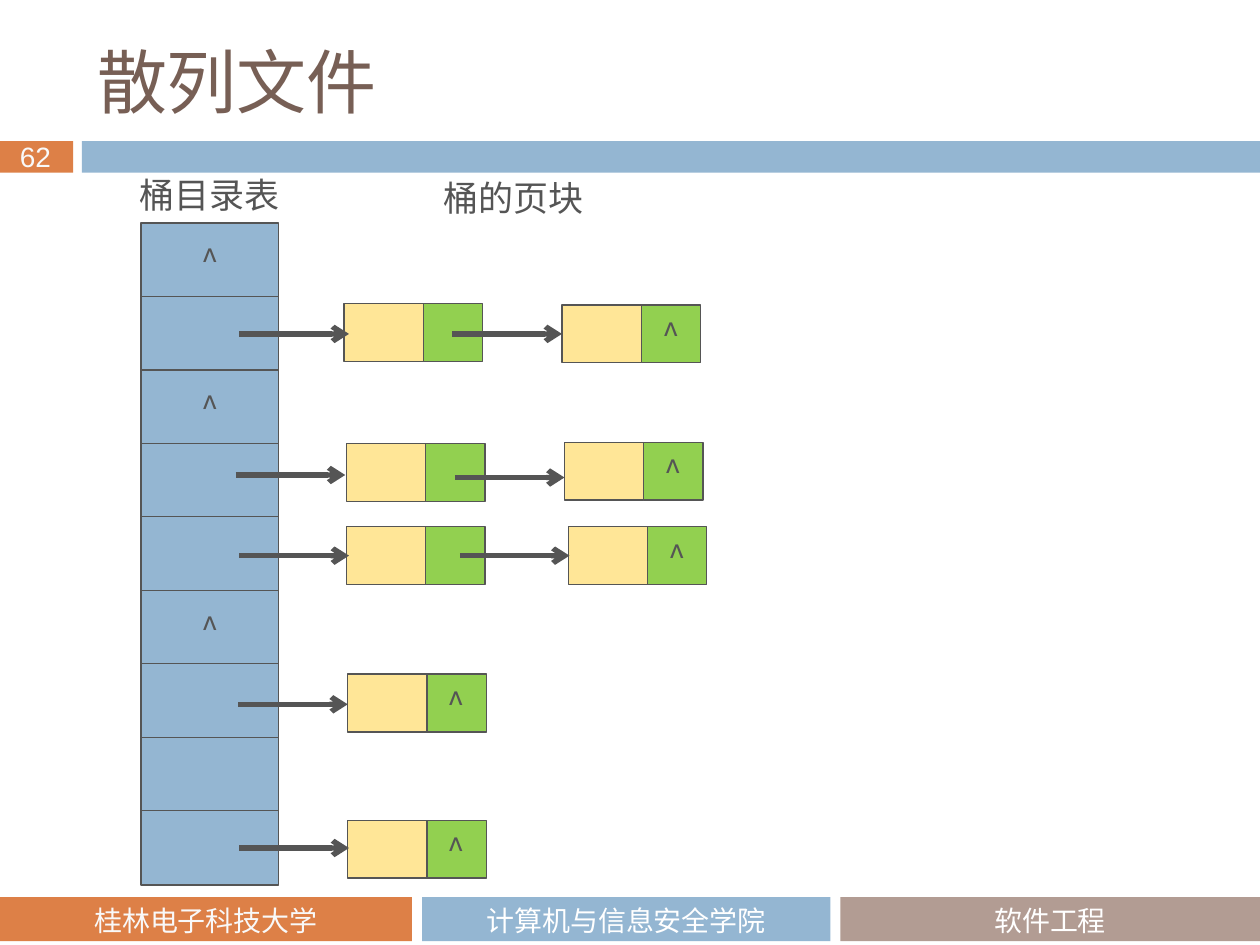
"""Build the hash file slide: a bucket directory with its chained page blocks."""
import dataclasses

import lxml.etree
import pptx
import pptx.dml.color
import pptx.enum.shapes
import pptx.enum.text
import pptx.oxml.ns
import pptx.util

Inches = pptx.util.Inches
ALIGN = pptx.enum.text.PP_ALIGN
MIDDLE = pptx.enum.text.MSO_ANCHOR.MIDDLE


@dataclasses.dataclass(frozen=True)
class Theme:
    """Colours, fonts and type sizes of the slide."""
    orange: str = "DD8047"
    blue: str = "94B6D2"
    taupe: str = "B29C93"
    brown: str = "775F55"
    ink: str = "555555"
    white: str = "FFFFFF"
    pale: str = "F9F9F9"
    yellow: str = "FFE697"
    green: str = "92D050"
    cjk: str = "Noto Sans CJK SC"
    title_font: str = "Noto Sans CJK JP"
    footer_font: str = "Calibri"
    number_font: str = "Arial"
    title: int = 40
    label: int = 20
    mark: int = 18
    footer: int = 16


THEME = Theme()
NULL = "^"
CELL_LEFT, CELL_TOP, CELL_W, CELL_H, CELL_PITCH = 1.12, 1.77, 1.09, 0.59, 0.583
DATA_W, LINK_W, BLOCK_H, ARROW_W = 0.63, 0.47, 0.46, 0.87
DIRECTORY = [NULL, "", NULL, "", "", NULL, "", "", ""]
CHAINS = [
    [(2.73, 2.41), (4.46, 2.42)],
    [(2.75, 3.52), (4.48, 3.51)],
    [(2.75, 4.18), (4.51, 4.18)],
    [(2.76, 5.35)],
    [(2.76, 6.51)],
]
ARROWS = [(1.9, 2.65), (3.59, 2.65), (1.87, 3.77), (3.61, 3.79),
          (1.9, 4.41), (3.65, 4.41), (1.89, 5.59), (1.9, 6.73)]


def rgb(color):
    """Return a colour object for a hex string."""
    return pptx.dml.color.RGBColor.from_string(color)


def write(tf, text, size, font, color, align=None):
    """Put one formatted paragraph in a text frame."""
    p = tf.paragraphs[0]
    p.text = text
    p.alignment = align
    p.font.size = pptx.util.Pt(size)
    p.font.name = font
    p.font.color.rgb = rgb(color)
    east_asian = THEME.cjk if font == THEME.footer_font else font
    latin = p._p.pPr.find(".//" + pptx.oxml.ns.qn("a:latin"))
    ea = lxml.etree.Element(pptx.oxml.ns.qn("a:ea"), typeface=east_asian)
    latin.addnext(ea)


def add_rect(slide, left, top, width, height, fill, line=None):
    """Add a flat rectangle, outlined if a line colour is given."""
    sp = slide.shapes.add_shape(
        pptx.enum.shapes.MSO_SHAPE.RECTANGLE,
        Inches(left), Inches(top), Inches(width), Inches(height))
    sp.shadow.inherit = False
    sp.fill.solid()
    sp.fill.fore_color.rgb = rgb(fill)
    if line:
        sp.line.color.rgb = rgb(line)
        sp.line.width = pptx.util.Pt(0.75)
    else:
        sp.line.fill.background()
    return sp


def add_cell(slide, left, top, width, height, fill, text=""):
    """Add an outlined cell that may hold a null mark."""
    sp = add_rect(slide, left, top, width, height, fill, THEME.ink)
    if text:
        sp.text_frame.vertical_anchor = MIDDLE
        write(sp.text_frame, text, THEME.mark, THEME.cjk, THEME.ink, ALIGN.CENTER)


def add_text(slide, left, top, width, height, text, size, font, color,
             align=None, wrap=False):
    """Add a text box with one paragraph."""
    sp = slide.shapes.add_textbox(
        Inches(left), Inches(top), Inches(width), Inches(height))
    sp.text_frame.word_wrap = wrap
    write(sp.text_frame, text, size, font, color, align)


def add_arrow(slide, left, y):
    """Add a horizontal pointer arrow."""
    cxn = slide.shapes.add_connector(
        pptx.enum.shapes.MSO_CONNECTOR.STRAIGHT,
        Inches(left), Inches(y), Inches(left + ARROW_W), Inches(y))
    cxn.line.color.rgb = rgb(THEME.ink)
    cxn.line.width = pptx.util.Pt(3)
    qn = pptx.oxml.ns.qn
    lxml.etree.SubElement(cxn.line._get_or_add_ln(), qn("a:tailEnd"), type="arrow")
    lxml.etree.SubElement(cxn._element.spPr, qn("a:effectLst"))


def add_chain(slide, blocks):
    """Add the page blocks of one bucket, closing the last with a null mark."""
    for left, top in blocks:
        mark = NULL if (left, top) == blocks[-1] else ""
        add_cell(slide, left, top, DATA_W, BLOCK_H, THEME.yellow)
        add_cell(slide, left + DATA_W, top, LINK_W, BLOCK_H, THEME.green, mark)


def add_frame(slide):
    """Add the header bars, slide number and footer."""
    add_rect(slide, 0, 1.12, 0.58, 0.25, THEME.orange)
    add_rect(slide, 0.65, 1.12, 9.35, 0.25, THEME.blue)
    add_text(slide, 0.06, 1.06, 0.48, 0.37, "62",
             THEME.footer, THEME.number_font, THEME.pale)
    for left, width, fill in ((0, 3.27, THEME.orange), (3.35, 3.24, THEME.blue),
                              (6.67, 3.33, THEME.taupe)):
        add_rect(slide, left, 7.12, width, 0.35, fill)
    for left, width, text, color in (
            (0, 3.27, "桂林电子科技大学", THEME.pale),
            (3.35, 3.24, "计算机与信息安全学院", THEME.white),
            (6.67, 3.33, "软件工程", THEME.white)):
        add_text(slide, left, 7.12, width, 0.32, text, THEME.footer,
                 THEME.footer_font, color, ALIGN.CENTER, wrap=True)


def add_title(slide, text):
    """Place and fill the title placeholder."""
    title = slide.shapes.title
    title.left, title.top = Inches(0.67), Inches(0.25)
    title.width, title.height = Inches(8.92), Inches(0.78)
    title.text_frame.vertical_anchor = MIDDLE
    write(title.text_frame, text, THEME.title, THEME.title_font, THEME.brown, ALIGN.LEFT)


def main():
    """Build and save the slide."""
    prs = pptx.Presentation()
    prs.slide_width, prs.slide_height = Inches(10), Inches(7.5)
    slide = prs.slides.add_slide(prs.slide_layouts[5])
    add_frame(slide)
    add_title(slide, "散列文件")
    for row, mark in enumerate(DIRECTORY):
        add_cell(slide, CELL_LEFT, CELL_TOP + row * CELL_PITCH,
                 CELL_W, CELL_H, THEME.blue, mark)
    for blocks in CHAINS:
        add_chain(slide, blocks)
    for left, y in ARROWS:
        add_arrow(slide, left, y)
    for left, top, text in ((1.01, 1.33, "桶目录表"), (3.42, 1.35, "桶的页块")):
        add_text(slide, left, top, 1.32, 0.44, text,
                 THEME.label, THEME.cjk, THEME.ink)
    prs.save("out.pptx")


if __name__ == "__main__":
    main()
